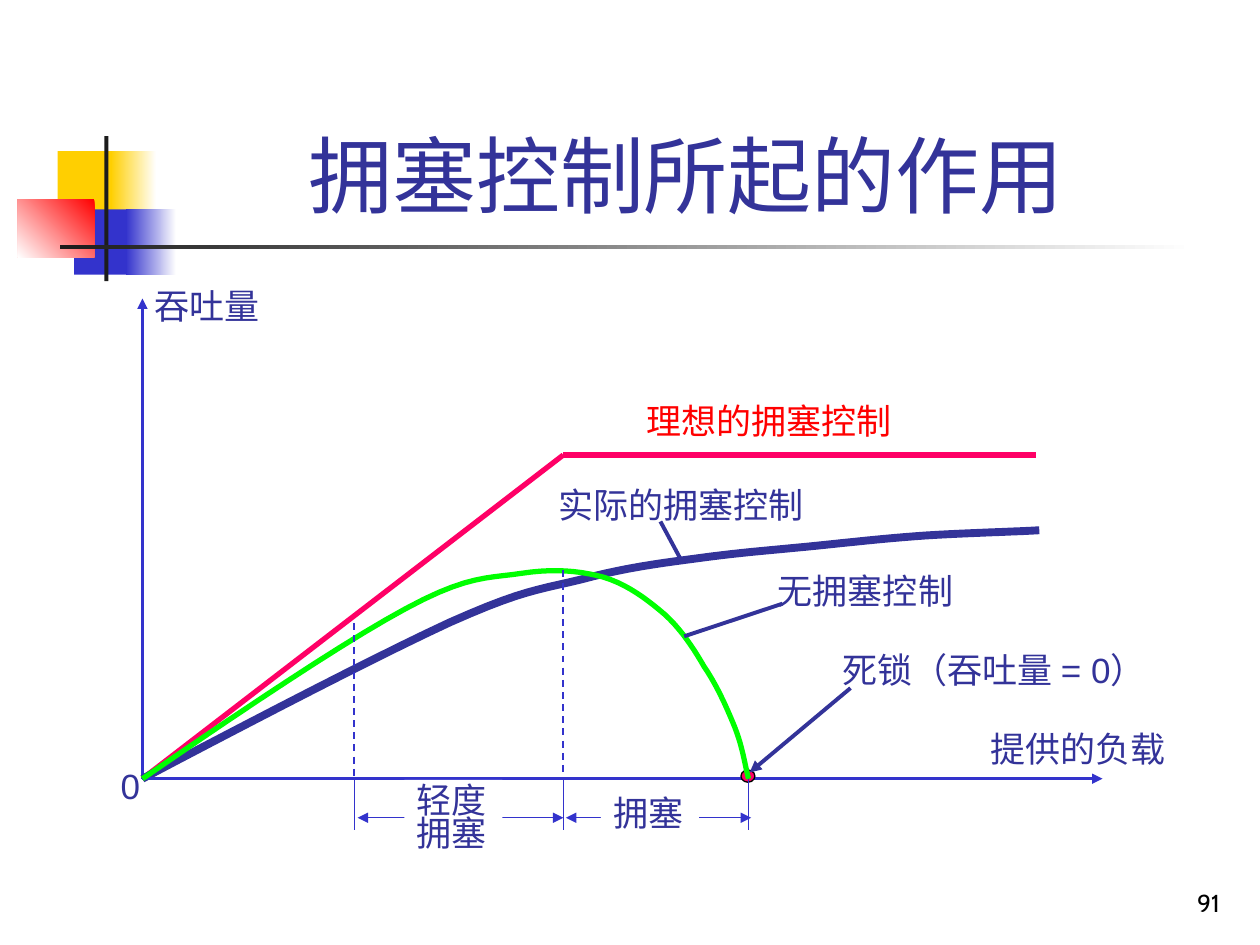
from lxml.etree import SubElement
from pptx import Presentation
from pptx.dml.color import RGBColor
from pptx.enum.dml import MSO_LINE
from pptx.enum.shapes import MSO_CONNECTOR, MSO_SHAPE
from pptx.enum.text import MSO_ANCHOR, MSO_AUTO_SIZE as AutoSize, PP_ALIGN as Align
from pptx.oxml.ns import qn
from pptx.util import Pt

COLORS = {
    "text": "333399", "axis": "3333CC", "ideal": "FF0066", "red": "FF0000",
    "green": "00FF00", "yellow": "FFCF01", "dark": "1C1C1C",
    "white": "FFFFFF", "black": "000000",
}

# Horizontal landmarks and ideal throughput, in points from the plot origin
ONSET, SATURATION, DEADLOCK = 121, 240.5, 346.3
IDEAL_HEIGHT = 185

# Cubic Bezier points: a start, then three points for each segment
CONTROLLED = [
    (0, 0), (67, 35.3), (134, 70), (175.6, 89.3),
    (217.4, 108), (226.8, 108), (250.5, 113.8),
    (274.3, 120.3), (296, 123.2), (317.5, 126),
    (339, 129), (357, 130.4), (378.7, 132.5),
    (401, 134.7), (426, 137.6), (447.8, 139),
    (469.4, 140.4), (500.4, 141.2), (512.5, 142),
]
UNCONTROLLED = [
    (0, 0), (56.8, 39), (114.4, 77.8), (150.4, 97.2),
    (186.4, 116.7), (198, 114.5), (216.7, 117.4),
    (235.4, 120.3), (249.8, 118.8), (263.5, 115.2),
    (277.2, 111), (288.7, 102.3), (298.8, 93.6),
    (308, 85), (314.6, 75), (321, 64),
    (328.3, 53.3), (334, 40.4), (338.4, 29.6),
    (342.7, 18.8), (344, 9.4), (DEADLOCK, 0),
]


def rgb(name):
    return RGBColor.from_string(COLORS[name])


def write_text(shape, text, size=20, color="text", font="Arial", align=Align.LEFT,
               anchor=MSO_ANCHOR.TOP, wrap=False, spacing=None):
    frame = shape.text_frame
    frame.text = text
    frame.word_wrap = wrap
    frame.auto_size = AutoSize.NONE if wrap else AutoSize.SHAPE_TO_FIT_TEXT
    frame.vertical_anchor = anchor
    for paragraph in frame.paragraphs:
        paragraph.alignment = align
        paragraph.line_spacing = spacing
        paragraph.font.size = Pt(size)
        paragraph.font.name = font
        paragraph.font.color.rgb = rgb(color)


def add_block(slide, box, start, end=None, angle=180, kind=MSO_SHAPE.RECTANGLE):
    """Add a borderless shape, plain or with a gradient from start to end."""
    shape = slide.shapes.add_shape(kind, *map(Pt, box))
    shape.shadow.inherit = False
    shape.line.fill.background()
    if end is None:
        shape.fill.solid()
        shape.fill.fore_color.rgb = rgb(start)
    else:
        shape.fill.gradient()
        shape.fill.gradient_angle = angle
        for stop, color, position in zip(shape.fill.gradient_stops, (start, end), (0, 1)):
            stop.color.rgb = rgb(color)
            stop.position = position
    return shape


def add_decoration(slide, box):
    left, top = box[:2]
    blocks = [
        ((23, 8.6, 34.6, 37.4), "yellow", None, 180),
        ((53.3, 8.6, 26, 37.4), "white", "yellow", 180),
        ((32.4, 41.8, 33.1, 37.4), "axis", None, 180),
        ((62, 41.8, 28.8, 37.4), "white", "axis", 180),
        ((0, 36, 43.9, 33.1), "red", "white", 225),
        ((49.7, 0, 2.3, 82.8), "dark", None, 180),
        ((24.5, 62.3, 648, 2.5), "white", "dark", 180),
    ]
    for (x, y, width, height), start, end, angle in blocks:
        add_block(slide, (left + x, top + y, width, height), start, end, angle)


def add_title(slide, box):
    title = slide.shapes.title
    title.left, title.top, title.width, title.height = map(Pt, box)
    write_text(title, "拥塞控制所起的作用 ", size=48, align=Align.CENTER,
               anchor=MSO_ANCHOR.BOTTOM, wrap=True)


def add_page_number(slide, box):
    write_text(slide.shapes.add_textbox(*map(Pt, box)), "91", size=14, color="black",
               font="Cabin", align=Align.RIGHT, anchor=MSO_ANCHOR.BOTTOM, wrap=True)


def bezier_points(points, steps=10):
    for i in range(0, len(points) - 1, 3):
        for step in range(1, steps + 1):
            t = step / steps
            weights = ((1 - t) ** 3, 3 * t * (1 - t) ** 2, 3 * t * t * (1 - t), t ** 3)
            yield tuple(sum(w * p[axis] for w, p in zip(weights, points[i:i + 4]))
                        for axis in (0, 1))


def add_plot(slide, box):
    left, top, width, height = box
    bottom = top + height

    def place(x, y):
        """Turn a distance right of and above the origin into a slide position."""
        return Pt(left + x), Pt(bottom - y)

    def line(start, end, color="axis", weight=0.75, head=False, tail=False, dash=None):
        connector = slide.shapes.add_connector(
            MSO_CONNECTOR.STRAIGHT, *place(*start), *place(*end))
        connector.line.color.rgb = rgb(color)
        connector.line.width = Pt(weight)
        if dash:
            connector.line.dash_style = dash
        outline = connector.line._get_or_add_ln()
        for wanted, tag in ((head, "a:headEnd"), (tail, "a:tailEnd")):
            if wanted:
                SubElement(outline, qn(tag), type="triangle")
        SubElement(connector._element.spPr, qn("a:effectLst"))

    def curve(points, color, weight):
        builder = slide.shapes.build_freeform(*place(*points[0]))
        builder.add_line_segments([place(*p) for p in bezier_points(points)], close=False)
        shape = builder.convert_to_shape()
        shape.shadow.inherit = False
        shape.fill.background()
        shape.line.color.rgb = rgb(color)
        shape.line.width = Pt(weight)

    def label(text, x, y, label_width, color="text"):
        shape = slide.shapes.add_textbox(*place(x, y), Pt(label_width), Pt(31.7))
        write_text(shape, text, color=color)

    # Axes, ideal line and controlled curve
    line((0, 0), (0, height), weight=1.5, tail=True)
    corner = (SATURATION, IDEAL_HEIGHT)
    line((0, 0), corner, "ideal", 3)
    line(corner, (510.5, IDEAL_HEIGHT), "ideal", 3)
    curve(CONTROLLED, "text", 4.5)
    line((0, 0), (width, 0), weight=1.5, tail=True)

    # Deadlock point
    dot = add_block(slide, (left + 342, bottom - 5, 8, 7), "ideal", kind=MSO_SHAPE.OVAL)
    dot.line.color.rgb = rgb("black")
    dot.line.width = Pt(0.75)

    # Congestion ranges below the axis, and the uncontrolled curve
    for start, end in ((SATURATION + 1.5, DEADLOCK + 1.5), (ONSET + 2, SATURATION)):
        line((start, -22.3), (end, -22.3), head=True, tail=True)
    curve(UNCONTROLLED, "green", 3)
    for x, peak in ((ONSET, 89), (SATURATION, 119)):
        line((x, peak), (x, 0), weight=1, dash=MSO_LINE.DASH)
    for x in (ONSET, SATURATION, DEADLOCK):
        line((x, 0), (x, -29.5))
    for text, x, y, label_height, spacing in (
            ("拥塞", 262, -3.6, 31.7, None), ("轻度\n拥塞", 149.7, -0.7, 46, 0.8)):
        shape = add_block(slide, (left + x, bottom - y, 56, label_height), "white")
        write_text(shape, text, spacing=spacing)

    # Labels and their leaders
    label("提供的负载", 477.3, 33, 116)
    label("吞吐量", 0, 286, 76)
    label("0", -19.5, 11.5, 26)
    label("理想的拥塞控制", 281, 220.3, 156, "red")
    label("实际的拥塞控制", 230.5, 172, 156)
    label("无拥塞控制", 356, 123, 116)
    label("死锁（吞吐量 = 0）", 393, 77.8, 198)
    line((296, 147), (308, 124.6), "text", 2.25)
    line((365.7, 100), (309.6, 81.4), "text", 2.25)
    line((404.6, 51.8), (347, 3.6), "text", 2.25, tail=True)


def main():
    presentation = Presentation()
    presentation.slide_width, presentation.slide_height = Pt(720), Pt(540)
    slide = presentation.slides.add_slide(presentation.slide_layouts[5])
    add_decoration(slide, (10, 77.8, 672.5, 82.8))
    add_title(slide, (90.7, 16.6, 613.4, 115.2))
    add_plot(slide, (81.4, 170.6, 548.6, 274.4))
    add_page_number(slide, (554.4, 491.8, 149.8, 36))
    presentation.save("out.pptx")


if __name__ == "__main__":
    main()
